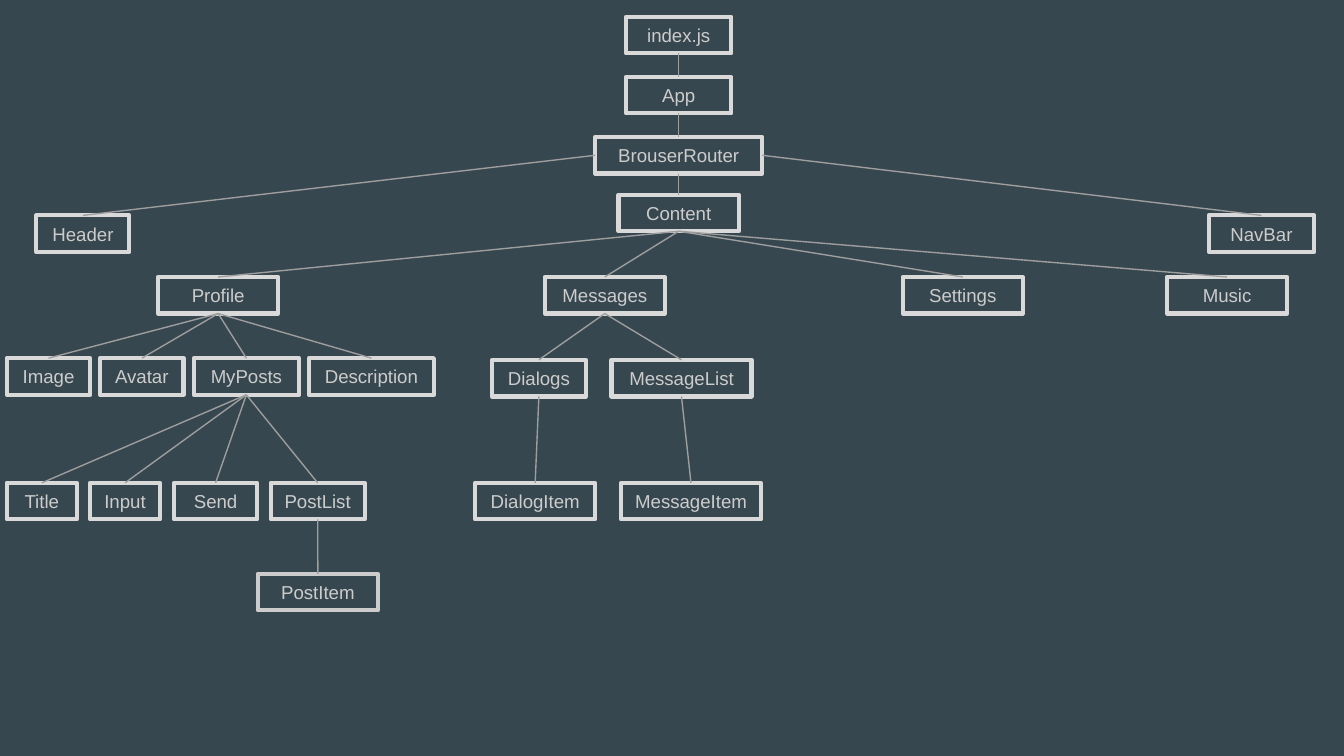
from dataclasses import dataclass

from lxml.etree import SubElement
from pptx import Presentation
from pptx.dml.color import RGBColor
from pptx.enum.shapes import MSO_CONNECTOR as CONN, MSO_SHAPE as SHAPE
from pptx.enum.text import MSO_ANCHOR as ANCHOR, PP_ALIGN as ALIGN
from pptx.oxml.ns import qn
from pptx.shapes.autoshape import Shape
from pptx.slide import Slide
from pptx.util import Pt

COLORS = {
    "background": "37474F",
    "border": "D9D9D9",
    "leaf_border": "CCCCCC",
    "text": "CCCCCC",
    "link": "9E9E9E",
}
BOX_H = 19.6
TOP, LEFT, BOTTOM, RIGHT = range(4)
ROOT_X = 363.6
ROOT_Y, ROOT_STEP = 9, 32.2
CONTENT_Y, SIDE_Y, PAGE_Y = 104.3, 115.4, 148.4
PART_Y, MESSAGE_Y, ITEM_Y, POST_Y = 191.9, 192.8, 258.7, 307.4


@dataclass(frozen=True)
class Node:
    name: str
    center: float
    top: float
    width: float
    parent: str = ""
    exit_site: int = BOTTOM
    border: str = "border"


NODES = [
    Node("index.js", ROOT_X, ROOT_Y, 56.4),
    Node("App", ROOT_X, ROOT_Y + ROOT_STEP, 56.4, "index.js"),
    Node("BrouserRouter", ROOT_X, ROOT_Y + 2 * ROOT_STEP, 89.5, "App"),
    Node("Header", 44.4, SIDE_Y, 49.8, "BrouserRouter", LEFT),
    Node("NavBar", 675.8, SIDE_Y, 56.4, "BrouserRouter", RIGHT),
    Node("Content", ROOT_X, CONTENT_Y, 64.4, "BrouserRouter"),
    Node("Profile", 116.9, PAGE_Y, 64.4, "Content"),
    Node("Messages", 324, PAGE_Y, 64.4, "Content"),
    Node("Settings", 515.8, PAGE_Y, 64.4, "Content"),
    Node("Music", 657.4, PAGE_Y, 64.4, "Content"),
    Node("Image", 26, PART_Y, 44.8, "Profile"),
    Node("Avatar", 76, PART_Y, 44.8, "Profile"),
    Node("MyPosts", 132, PART_Y, 56.4, "Profile"),
    Node("Description", 199, PART_Y, 67, "Profile"),
    Node("Title", 22.4, ITEM_Y, 37.6, "MyPosts"),
    Node("Input", 67, ITEM_Y, 37.6, "MyPosts"),
    Node("Send", 115.5, ITEM_Y, 44.6, "MyPosts"),
    Node("PostList", 170.2, ITEM_Y, 50.4, "MyPosts"),
    Node("PostItem", 170.3, POST_Y, 64.4, "PostList", border="leaf_border"),
    Node("Dialogs", 288.7, MESSAGE_Y, 50.4, "Messages"),
    Node("MessageList", 365.1, MESSAGE_Y, 75, "Messages"),
    Node("DialogItem", 286.7, ITEM_Y, 64.4, "Dialogs"),
    Node("MessageItem", 370.2, ITEM_Y, 75, "MessageList"),
]


def color(name: str) -> RGBColor:
    return RGBColor.from_string(COLORS[name])


def draw_box(s: Slide, node: Node) -> Shape:
    sp = s.shapes.add_shape(SHAPE.RECTANGLE, Pt(node.center - node.width / 2),
                            Pt(node.top), Pt(node.width), Pt(BOX_H))
    sp.shadow.inherit = False
    sp.fill.background()
    sp.line.color.rgb = color(node.border)
    sp.line.width = Pt(2.25)
    SubElement(sp.element.spPr.find(qn("a:ln")), qn("a:round"))
    tf = sp.text_frame
    tf.word_wrap = True
    tf.vertical_anchor = ANCHOR.MIDDLE
    tf.margin_left = tf.margin_right = Pt(7.2)
    tf.margin_top = tf.margin_bottom = Pt(7.2)
    p = tf.paragraphs[0]
    p.alignment = ALIGN.CENTER
    r = p.add_run()
    r.text = node.name
    r.font.name = "Arial"
    r.font.size = Pt(10)
    r.font.color.rgb = color("text")
    return sp


def draw_link(s: Slide, parent: Shape, exit_site: int, child: Shape) -> None:
    link = s.shapes.add_connector(CONN.STRAIGHT, parent.left, parent.top,
                                  child.left, child.top)
    link.begin_connect(parent, exit_site)
    link.end_connect(child, TOP)
    link.line.color.rgb = color("link")
    link.line.width = Pt(0.75)
    SubElement(link.element.spPr, qn("a:effectLst"))


prs = Presentation()
prs.slide_width, prs.slide_height = Pt(720), Pt(405)
s = prs.slides.add_slide(prs.slide_layouts[6])
s.background.fill.solid()
s.background.fill.fore_color.rgb = color("background")

boxes: dict[str, Shape] = {}
for node in NODES:
    boxes[node.name] = draw_box(s, node)
    if node.parent:
        draw_link(s, boxes[node.parent], node.exit_site, boxes[node.name])

prs.save("out.pptx")
